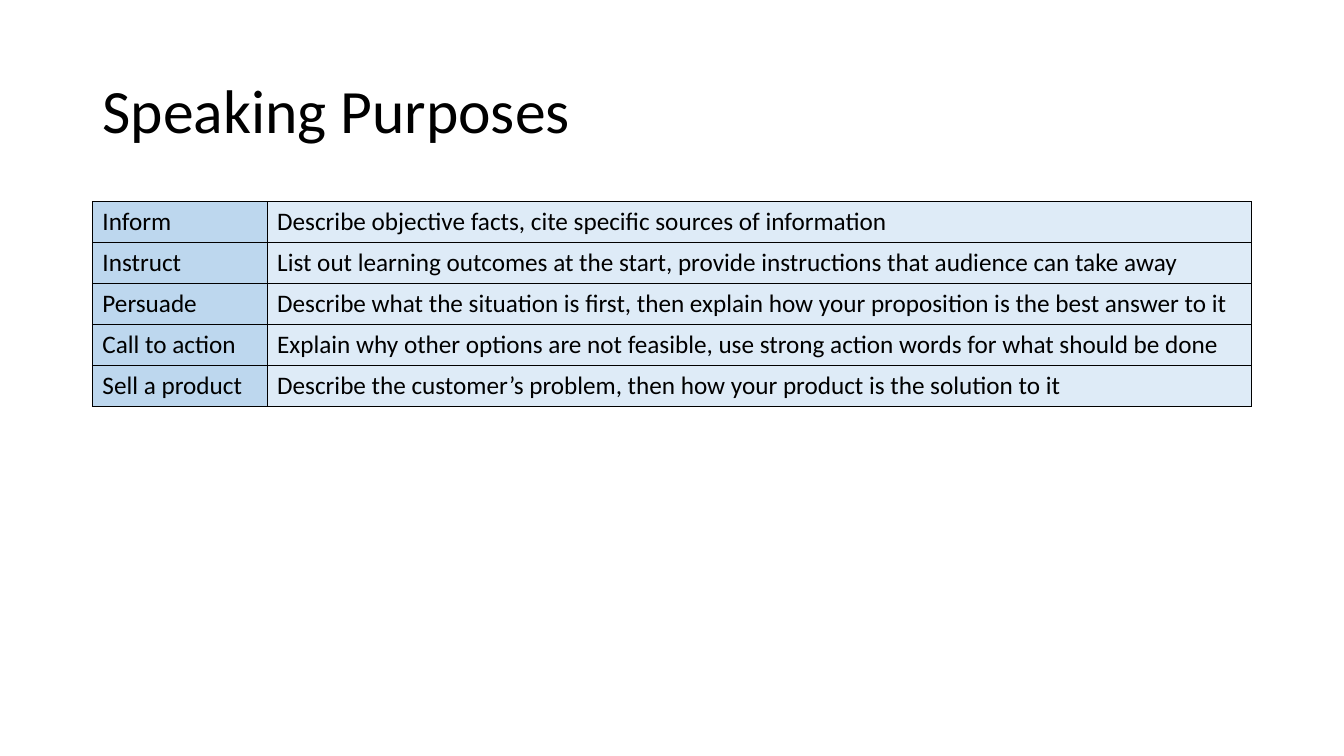
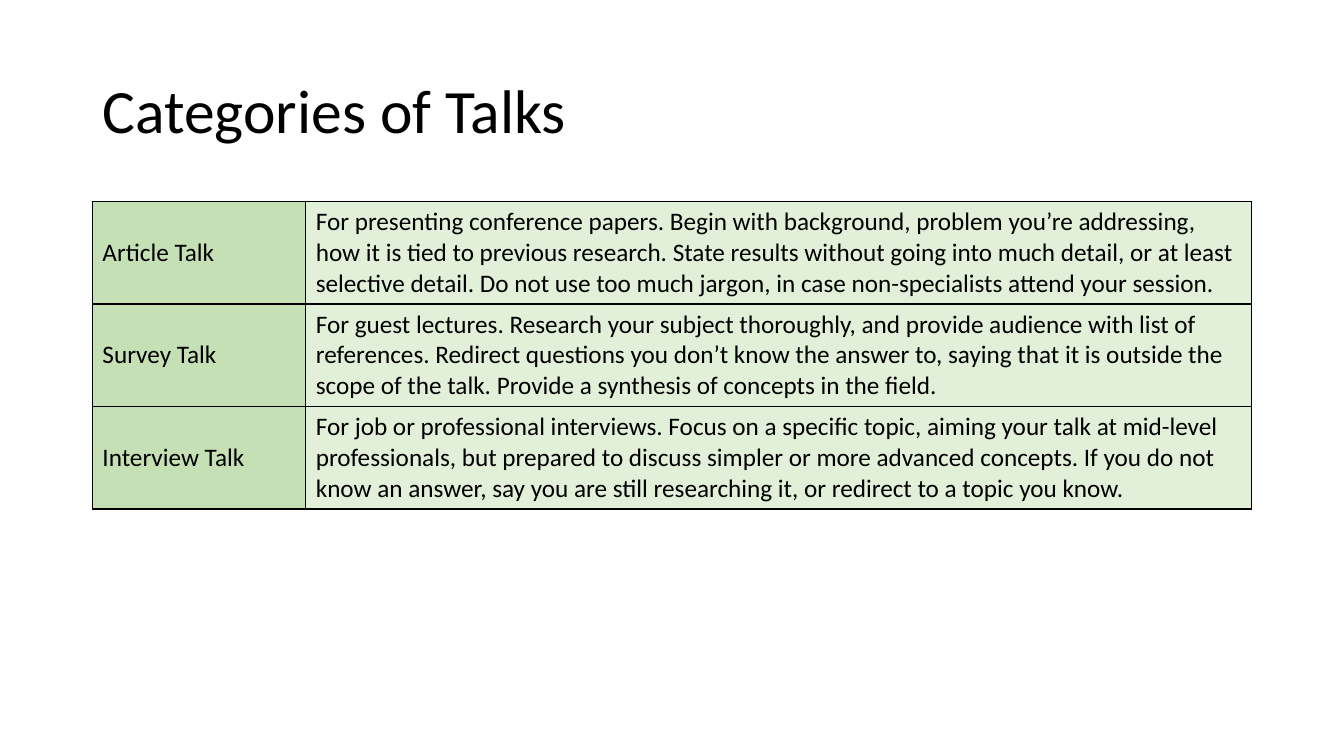
from dataclasses import dataclass

from lxml.etree import SubElement
from pptx import Presentation
from pptx.dml.color import RGBColor
from pptx.enum.text import MSO_ANCHOR, MSO_AUTO_SIZE, PP_ALIGN
from pptx.oxml.ns import qn
from pptx.util import Inches, Pt


@dataclass(frozen=True)
class Theme:
    font: str = "Calibri"
    title_size: int = 44
    body_size: int = 18
    ink: str = "000000"
    border: int = 1
    blue: tuple = ("BDD7EE", "DEEBF7")
    green: tuple = ("C5E0B4", "E2F0D9")


COLS, ROWS = 160, 90  # slide grid
LEFT, WIDTH = 11, 138
TITLE_TOP, TITLE_HEIGHT = 4.8, 17.4
TABLE_TOP = 24

PURPOSES = [
    ("Inform", "Describe objective facts, cite specific sources of information"),
    ("Instruct", "List out learning outcomes at the start, provide instructions "
                 "that audience can take away"),
    ("Persuade", "Describe what the situation is first, then explain how your "
                 "proposition is the best answer to it"),
    ("Call to action", "Explain why other options are not feasible, use strong "
                       "action words for what should be done"),
    ("Sell a product", "Describe the customer’s problem, then how your product "
                       "is the solution to it"),
]

TALKS = [
    ("Article Talk",
     "For presenting conference papers. Begin with background, problem you’re "
     "addressing, how it is tied to previous research. State results without "
     "going into much detail, or at least selective detail. Do not use too much "
     "jargon, in case non-specialists attend your session."),
    ("Survey Talk",
     "For guest lectures. Research your subject thoroughly, and provide audience "
     "with list of references. Redirect questions you don’t know the answer to, "
     "saying that it is outside the scope of the talk. Provide a synthesis of "
     "concepts in the field."),
    ("Interview Talk",
     "For job or professional interviews. Focus on a specific topic, aiming your "
     "talk at mid-level professionals, but prepared to discuss simpler or more "
     "advanced concepts. If you do not know an answer, say you are still "
     "researching it, or redirect to a topic you know."),
]


class Deck:
    def __init__(self, theme):
        self.theme = theme
        self.prs = Presentation()
        self.prs.slide_width, self.prs.slide_height = Inches(13.33), Inches(7.5)
        self.slide = None

    def x(self, cols):
        return round(self.prs.slide_width * cols / COLS)

    def y(self, rows):
        return round(self.prs.slide_height * rows / ROWS)

    def style(self, p, size):
        p.alignment = PP_ALIGN.LEFT
        p.font.name = self.theme.font
        p.font.size = Pt(size)
        p.font.color.rgb = RGBColor.from_string(self.theme.ink)

    def add_slide(self, title):
        self.slide = self.prs.slides.add_slide(
            self.prs.slide_layouts.get_by_name("Title Only"))
        sp = self.slide.shapes.title
        sp.left, sp.top = self.x(LEFT), self.y(TITLE_TOP)
        sp.width, sp.height = self.x(WIDTH), self.y(TITLE_HEIGHT)
        tf = sp.text_frame
        tf.text = title
        tf.auto_size = MSO_AUTO_SIZE.NONE
        tf.vertical_anchor = MSO_ANCHOR.MIDDLE
        p = tf.paragraphs[0]
        p.line_spacing = 0.9
        self.style(p, self.theme.title_size)

    def add_table(self, rows, fills, label_width, row_height, anchor):
        """Add a table of (label, description) rows, one fill per column."""
        table = self.slide.shapes.add_table(
            len(rows), 2, self.x(LEFT), self.y(TABLE_TOP),
            self.x(WIDTH), self.y(row_height * len(rows))).table
        table.first_row = table.horz_banding = False
        for column, width in zip(table.columns, (label_width, WIDTH - label_width)):
            column.width = self.x(width)
        for row, texts in zip(table.rows, rows):
            for cell, text, fill in zip(row.cells, texts, fills):
                cell.text = text
                cell.vertical_anchor = anchor
                cell.fill.solid()
                cell.fill.fore_color.rgb = RGBColor.from_string(fill)
                self.style(cell.text_frame.paragraphs[0], self.theme.body_size)
                self.add_borders(cell)

    def add_borders(self, cell):
        """Outline a cell; the schema wants the lines ahead of the fill."""
        tc_pr = cell._tc.get_or_add_tcPr()
        for i, side in enumerate(("a:lnL", "a:lnR", "a:lnT", "a:lnB")):
            ln = SubElement(tc_pr, qn(side), w=str(Pt(self.theme.border)))
            fill = SubElement(ln, qn("a:solidFill"))
            SubElement(fill, qn("a:srgbClr"), val=self.theme.ink)
            tc_pr.insert(i, ln)


def main():
    theme = Theme()
    deck = Deck(theme)
    deck.add_slide("Speaking Purposes")
    deck.add_table(PURPOSES, theme.blue, 20.8, 4.88, MSO_ANCHOR.TOP)
    deck.add_slide("Categories of Talks")
    deck.add_table(TALKS, theme.green, 25.4, 12.2, MSO_ANCHOR.MIDDLE)
    deck.prs.save("out.pptx")


if __name__ == "__main__":
    main()
